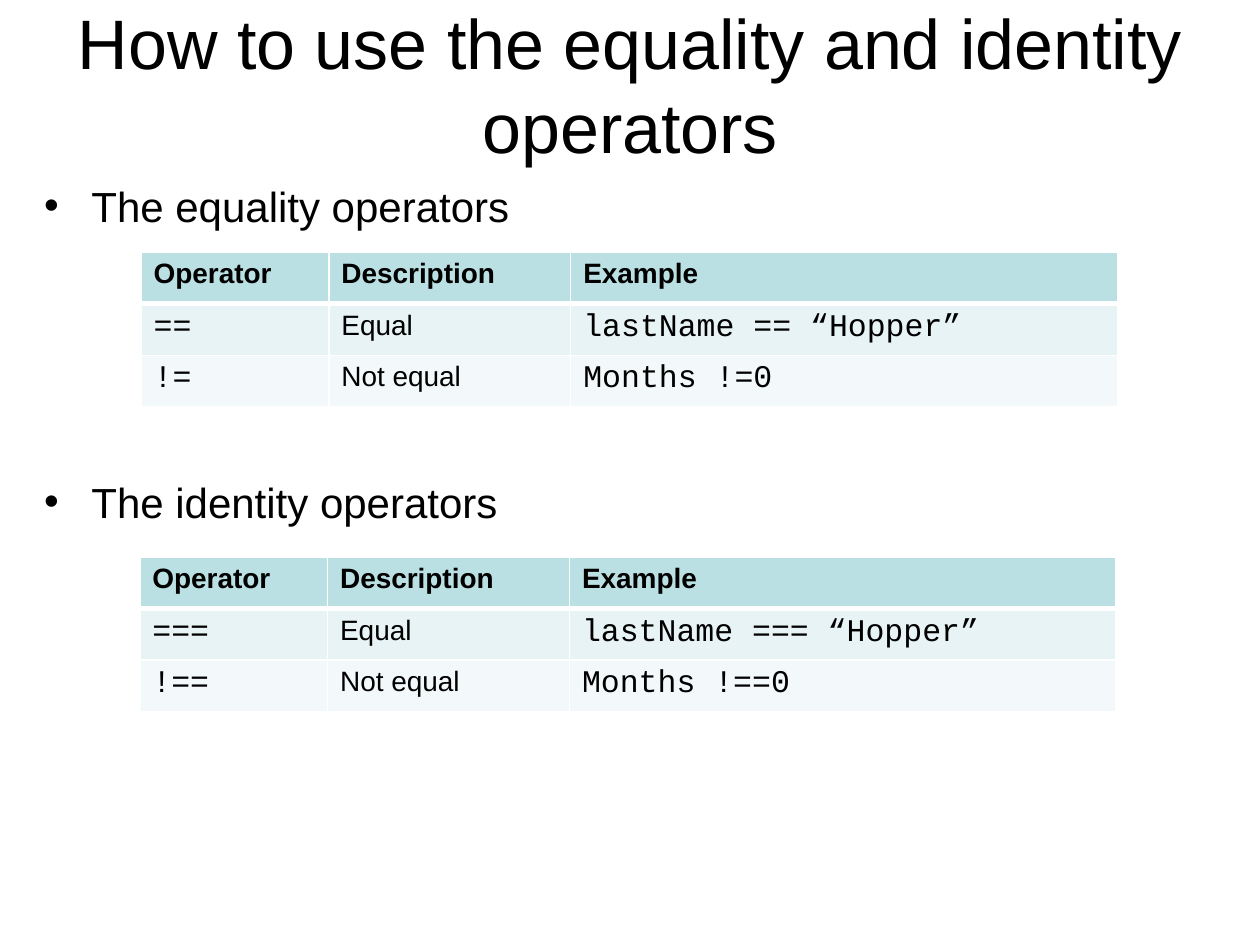
from lxml.etree import SubElement
from pptx import Presentation
from pptx.dml.color import RGBColor
from pptx.enum.text import MSO_ANCHOR, MSO_AUTO_SIZE, PP_ALIGN
from pptx.oxml.ns import qn
from pptx.util import Inches, Pt

TITLE = "How to use the equality and identity operators"
HEADER = ("Operator", "Description", "Example")
SECTIONS = [
    ("The equality operators", (1.12, 2), [
        ("==", "Equal", "lastName == “Hopper”"),
        ("!=", "Not equal", "Months !=0"),
    ]),
    ("The identity operators", (1.11, 4.42), [
        ("===", "Equal", "lastName === “Hopper”"),
        ("!==", "Not equal", "Months !==0"),
    ]),
]

BLACK = RGBColor(0x00, 0x00, 0x00)
WHITE = RGBColor(0xFF, 0xFF, 0xFF)
ROW_FILLS = [RGBColor(0xBB, 0xE0, 0xE3), RGBColor(0xE7, 0xF3, 0xF4),
             RGBColor(0xF3, 0xF9, 0xFA)]
TEXT_FONT, CODE_FONT = "Arial", "Courier New"
COL_WIDTHS = (1.49, 1.92, 4.34)
ROW_HEIGHT = 0.41
SECTION_GAP = Pt(140.4)


def set_font(p, size, name=TEXT_FONT, bold=False):
    p.font.size, p.font.name, p.font.bold = Pt(size), name, bold
    p.font.color.rgb = BLACK


def place(sp, left, top, width, height):
    sp.left, sp.top = Inches(left), Inches(top)
    sp.width, sp.height = Inches(width), Inches(height)


def add_borders(cell, row):
    """Draw thin white cell borders, with a thick rule under the header row."""
    tc_pr = cell._tc.get_or_add_tcPr()
    thick = {0: "B", 1: "T"}.get(row)
    for side in "LRTB":
        ln = SubElement(tc_pr, qn(f"a:ln{side}"), w=str(Pt(3 if side == thick else 1)))
        fill = SubElement(ln, qn("a:solidFill"))
        SubElement(fill, qn("a:srgbClr"), val=str(WHITE))


def add_operator_table(slide, left, top, rows):
    rows = [HEADER, *rows]
    table = slide.shapes.add_table(
        len(rows), len(HEADER), Inches(left), Inches(top),
        Inches(sum(COL_WIDTHS)), Inches(ROW_HEIGHT * len(rows))).table
    for column, width in zip(table.columns, COL_WIDTHS):
        column.width = Inches(width)
    for r, texts in enumerate(rows):
        table.rows[r].height = Inches(ROW_HEIGHT)
        for c, text in enumerate(texts):
            cell = table.cell(r, c)
            cell.text = text
            add_borders(cell, r)
            cell.fill.solid()
            cell.fill.fore_color.rgb = ROW_FILLS[r]
            p = cell.text_frame.paragraphs[0]
            if r > 0 and HEADER[c] != "Description":
                set_font(p, 18, CODE_FONT)
            else:
                set_font(p, 16, bold=r == 0)


def main():
    prs = Presentation()
    prs.slide_width, prs.slide_height = Inches(10), Inches(7.5)
    slide = prs.slides.add_slide(prs.slide_layouts[1])
    title, body = slide.shapes.title, slide.placeholders[1]

    place(title, 0.5, 0.08, 9, 1.17)
    title.text = TITLE
    title.text_frame.auto_size = MSO_AUTO_SIZE.NONE
    title.text_frame.vertical_anchor = MSO_ANCHOR.MIDDLE
    p = title.text_frame.paragraphs[0]
    p.alignment = PP_ALIGN.CENTER
    set_font(p, 40)

    place(body, 0.25, 1.38, 9.58, 5.12)
    body.fill.solid()
    body.fill.fore_color.rgb = WHITE
    tf = body.text_frame
    tf.auto_size = MSO_AUTO_SIZE.NONE
    tf.text = "\n".join(heading for heading, _, _ in SECTIONS)
    for p in tf.paragraphs:
        set_font(p, 24)
    tf.paragraphs[1].space_before = SECTION_GAP

    for _, (left, top), rows in SECTIONS:
        add_operator_table(slide, left, top, rows)
    prs.save("out.pptx")


if __name__ == "__main__":
    main()
